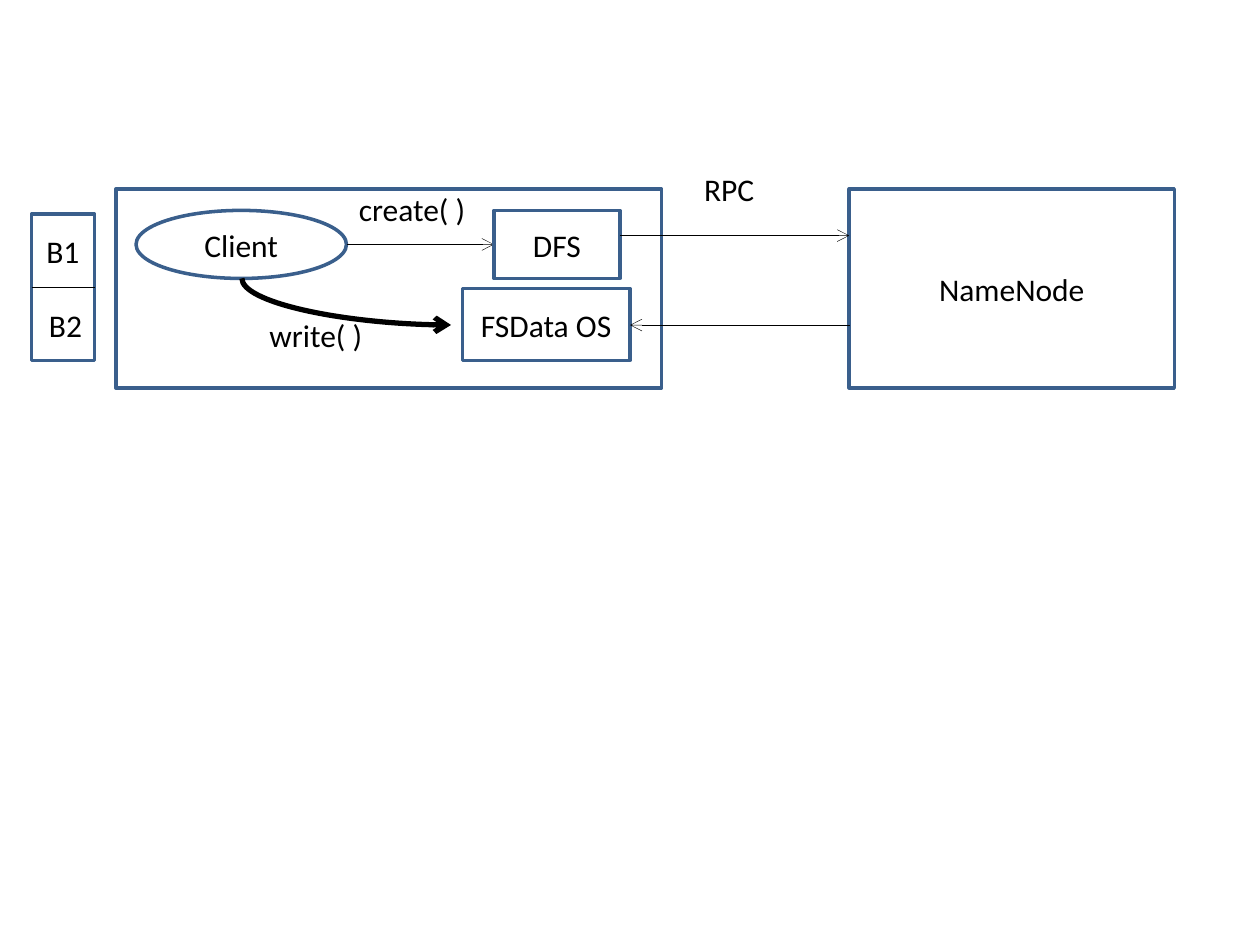
from lxml.etree import SubElement
from pptx import Presentation
from pptx.dml.color import RGBColor
from pptx.enum.dml import MSO_LINE
from pptx.enum.shapes import MSO_CONNECTOR, MSO_SHAPE
from pptx.enum.text import MSO_ANCHOR, MSO_AUTO_SIZE, PP_ALIGN
from pptx.oxml.ns import qn
from pptx.util import Inches, Pt

BLUE = RGBColor(0x3A, 0x5F, 0x8C)
BLACK = RGBColor(0, 0, 0)
WHITE = RGBColor(255, 255, 255)
TEXT_FORMAT = {"name": "Calibri", "size": Pt(18)}
CALL_LINE = {"width": Pt(0.25), "dash_style": MSO_LINE.ROUND_DOT}


def write_text(box, text):
    span = box.text_frame.paragraphs[0].add_run()
    span.text = text
    for name, value in TEXT_FORMAT.items():
        setattr(span.font, name, value)
    span.font.color.rgb = BLACK


def add_node(shapes, kind, left, top, width, height, text="", fill=None):
    node = shapes.add_shape(kind, *map(Inches, (left, top, width, height)))
    node.shadow.inherit = False
    if fill is None:
        node.fill.background()
    else:
        node.fill.solid()
        node.fill.fore_color.rgb = fill
    node.line.color.rgb = BLUE
    node.line.width = Pt(2)
    if text:
        node.text_frame.vertical_anchor = MSO_ANCHOR.MIDDLE
        node.text_frame.paragraphs[0].alignment = PP_ALIGN.CENTER
        write_text(node, text)


def add_label(shapes, left, top, width, text, wrap=False):
    label = shapes.add_textbox(*map(Inches, (left, top, width, 0.4)))
    label.text_frame.word_wrap = wrap
    label.text_frame.auto_size = MSO_AUTO_SIZE.SHAPE_TO_FIT_TEXT
    write_text(label, text)


def add_line(shapes, start, end, line_format, arrow=True,
             kind=MSO_CONNECTOR.STRAIGHT):
    connector = shapes.add_connector(kind, *map(Inches, (*start, *end)))
    connector.line.color.rgb = BLACK
    for name, value in line_format.items():
        setattr(connector.line, name, value)
    properties = connector._element.spPr
    if arrow:
        SubElement(properties.find(qn("a:ln")), qn("a:tailEnd"), type="arrow")
    SubElement(properties, qn("a:effectLst"))
    return connector


def add_quarter_curve(shapes, start, end):
    """Add an arrow that leaves start downwards and reaches end sideways."""
    across, down = end[0] - start[0], end[1] - start[1]
    middle_x, middle_y = (start[0] + end[0]) / 2, (start[1] + end[1]) / 2
    # The frame is stored unrotated, so its width and height change places.
    curve = add_line(
        shapes,
        (middle_x + down / 2, middle_y - across / 2),
        (middle_x - down / 2, middle_y + across / 2),
        {"width": Pt(3)}, kind=MSO_CONNECTOR.CURVE)
    properties = curve._element.spPr
    properties.find(qn("a:xfrm")).set("rot", str(270 * 60000))
    properties.find(qn("a:prstGeom")).set("prst", "curvedConnector2")


def add_write_call(page):
    shapes = page.shapes.add_group_shape().shapes
    add_quarter_curve(shapes, (1.92, 2.21), (3.58, 2.58))
    add_label(shapes, 2.04, 2.46, 0.95, "write( )")


def add_blocks(page):
    shapes = page.shapes.add_group_shape().shapes
    add_node(shapes, MSO_SHAPE.FLOWCHART_PROCESS, 0.25, 1.7, 0.5, 1.16,
             fill=WHITE)
    add_line(shapes, (0.25, 2.28), (0.75, 2.28), {"width": Pt(0.75)},
             arrow=False)
    add_label(shapes, 0.29, 2.38, 0.47, "B2")
    add_label(shapes, 0.27, 1.79, 0.47, "B1")


def main():
    deck = Presentation()
    deck.slide_width, deck.slide_height = Inches(10), Inches(7.5)
    page = deck.slides.add_slide(deck.slide_layouts[6])
    shapes = page.shapes

    add_node(shapes, MSO_SHAPE.RECTANGLE, 0.92, 1.5, 4.33, 1.58)
    add_node(shapes, MSO_SHAPE.OVAL, 1.08, 1.67, 1.67, 0.54, "Client")
    add_line(shapes, (2.75, 1.94), (3.92, 1.94), CALL_LINE)
    add_label(shapes, 2.75, 1.46, 1.33, "create( )", wrap=True)
    add_node(shapes, MSO_SHAPE.RECTANGLE, 3.92, 1.67, 1, 0.54, "DFS")
    add_node(shapes, MSO_SHAPE.RECTANGLE, 6.74, 1.5, 2.58, 1.58, "NameNode")
    add_line(shapes, (4.92, 1.87), (6.74, 1.87), CALL_LINE)
    add_label(shapes, 5.49, 1.3, 0.85, "RPC", wrap=True)
    add_node(shapes, MSO_SHAPE.FLOWCHART_PROCESS, 3.67, 2.29, 1.33, 0.57,
             "FSData OS", WHITE)
    add_line(shapes, (6.74, 2.58), (5, 2.58), CALL_LINE)
    add_write_call(page)
    add_blocks(page)

    deck.save("out.pptx")


if __name__ == "__main__":
    main()
